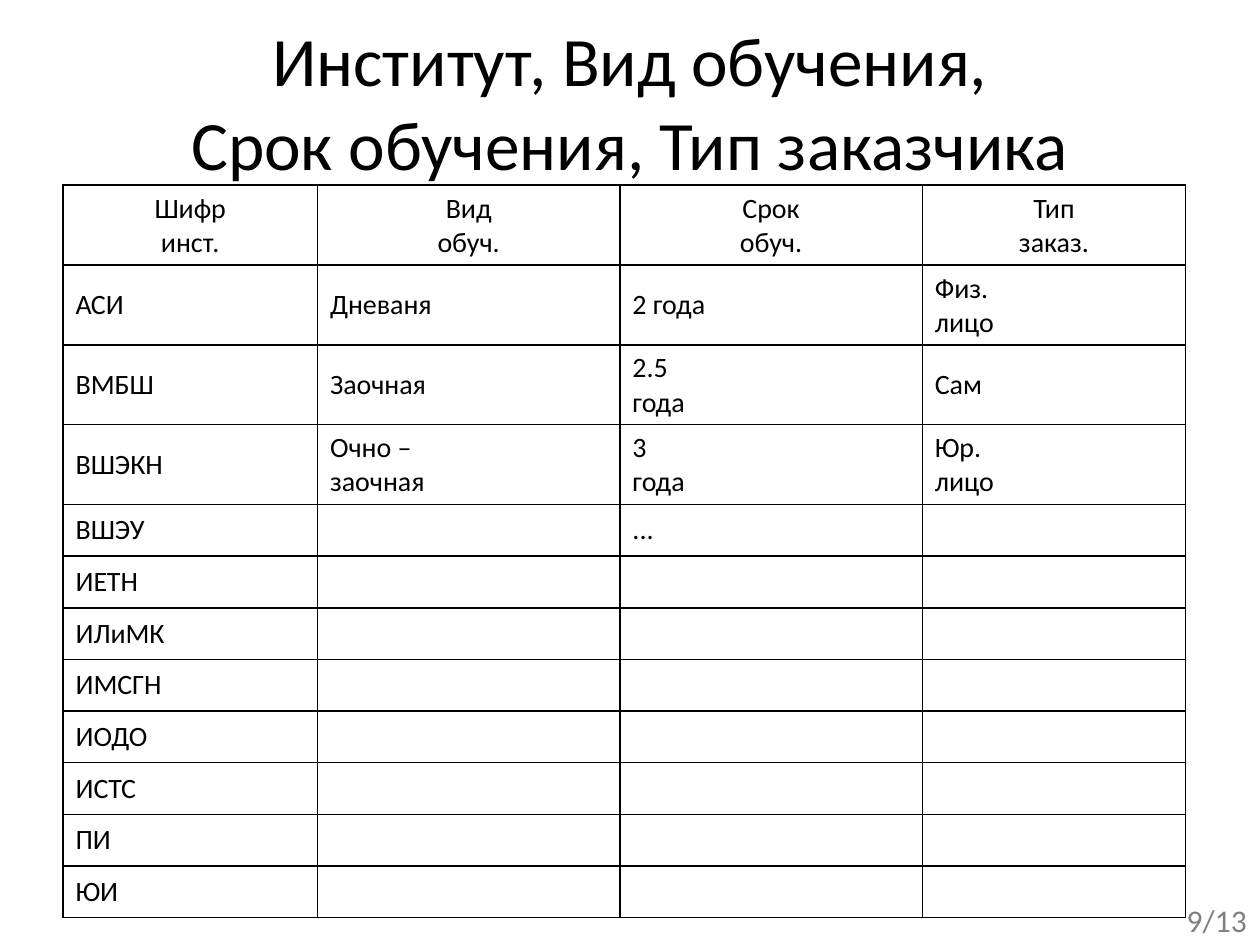
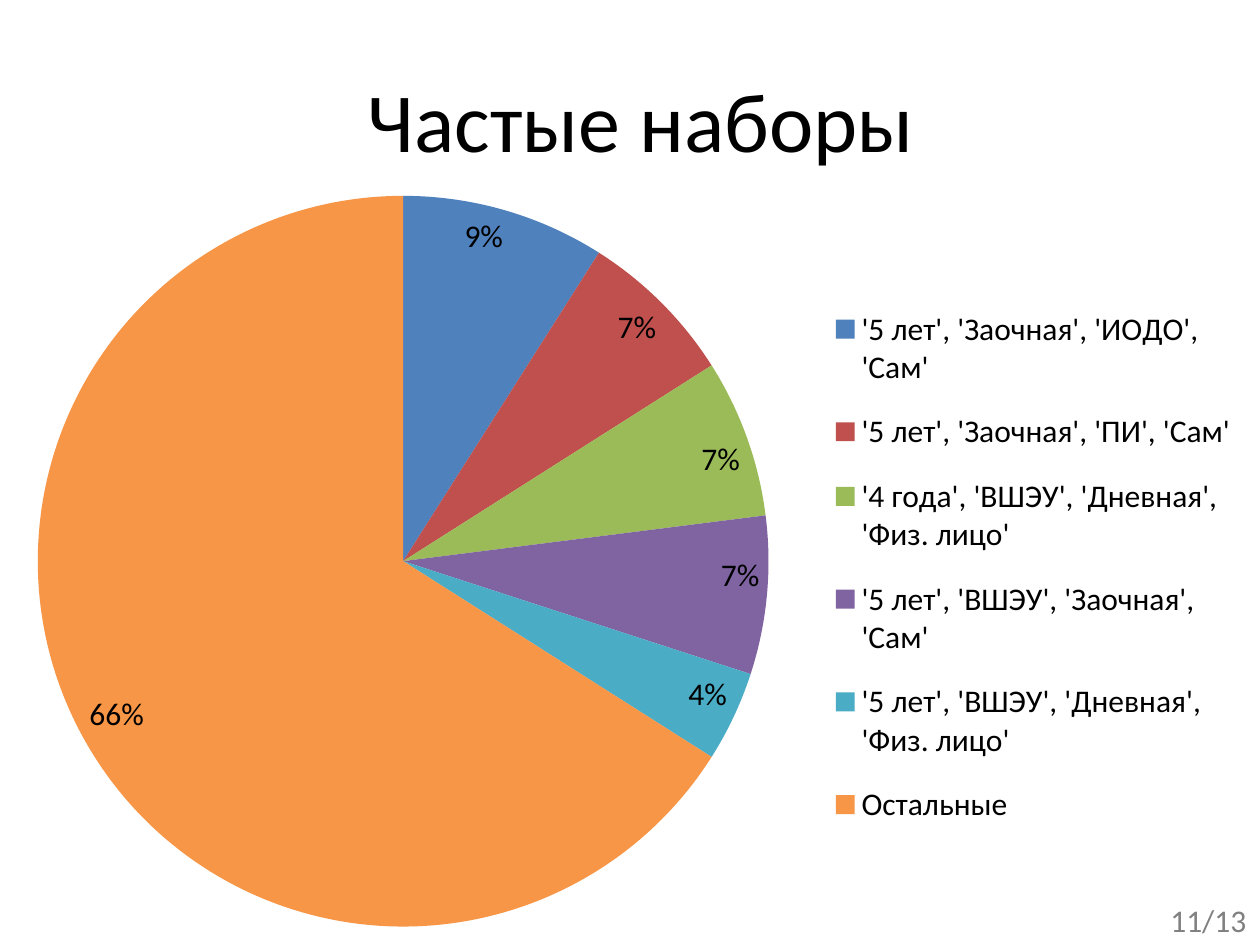
from dataclasses import dataclass
from typing import Any, NamedTuple

from lxml.etree import SubElement
from pptx import Presentation
from pptx.chart.data import CategoryChartData
from pptx.dml.color import RGBColor
from pptx.enum.chart import XL_CHART_TYPE as ChartType
from pptx.enum.chart import XL_LABEL_POSITION as LabelPosition
from pptx.enum.chart import XL_LEGEND_POSITION as LegendPosition
from pptx.enum.text import MSO_ANCHOR as Anchor
from pptx.enum.text import PP_ALIGN as Align
from pptx.oxml import parse_xml
from pptx.oxml.ns import nsdecls, qn
from pptx.util import Inches, Pt


@dataclass(frozen=True)
class Theme:
    font: str = "Calibri"
    ink: str = "000000"
    muted: str = "808080"
    paper: str = "FFFFFF"
    slices: tuple[str, ...] = (
        "4F81BD", "C0504D", "9BBB59", "8064A2", "4BACC6", "F79646")
    title_size: float = 39.6
    chart_title_size: float = 48
    body_size: float = 18
    table_size: float = 16


class Box(NamedTuple):
    left: float
    top: float
    width: float
    height: float

    def lengths(self) -> list[int]:
        return [Inches(value) for value in self]


class ChartArea(NamedTuple):
    """Place inside the chart, as fractions of its size."""
    x: float
    y: float
    w: float | None = None
    h: float | None = None


class Slice(NamedTuple):
    label: str
    percent: int


THEME = Theme()
TOTAL_SLIDES = 13

HEADERS = ["Шифр\nинст.", "Вид\nобуч.", "Срок\nобуч.", "Тип\nзаказ."]
COLUMN_WIDTHS = [2.02, 2.4, 2.4, 2.09]
ROW_HEIGHT = 0.41
ROWS = [
    ["АСИ", "Дневаня", "2 года", "Физ.\nлицо"],
    ["ВМБШ", "Заочная", "2.5\nгода", "Сам"],
    ["ВШЭКН", "Очно –\nзаочная", "3\nгода", "Юр.\nлицо"],
    ["ВШЭУ", "", "...", ""],
    *([code, "", "", ""] for code in
      ("ИЕТН", "ИЛиМК", "ИМСГН", "ИОДО", "ИСТС", "ПИ", "ЮИ")),
]

FREQUENT_SETS = [
    Slice("'5 лет', 'Заочная', 'ИОДО', 'Сам'", 9),
    Slice("'5 лет', 'Заочная', 'ПИ', 'Сам'", 7),
    Slice("'4 года', 'ВШЭУ', 'Дневная', 'Физ. лицо'", 7),
    Slice("'5 лет', 'ВШЭУ', 'Заочная', 'Сам'", 7),
    Slice("'5 лет', 'ВШЭУ', 'Дневная', 'Физ. лицо'", 4),
    Slice("Остальные", 66),
]


# Shared helpers
def apply(target: Any, values: dict[str, Any]) -> None:
    for name, value in values.items():
        setattr(target, name, value)


def style_font(font: Any, size: float, color: str = THEME.ink) -> None:
    apply(font, {"name": THEME.font, "size": Pt(size), "bold": False})
    font.color.rgb = RGBColor.from_string(color)


def write_text(frame: Any, text: str, size: float, align: Align,
               color: str = THEME.ink) -> None:
    frame.text = text
    for paragraph in frame.paragraphs:
        paragraph.alignment = align
        style_font(paragraph.font, size, color)
        for run in paragraph.runs:
            style_font(run.font, size, color)


def add_text(slide: Any, box: Box, text: str, size: float, align: Align,
             color: str = THEME.ink, **frame_format: Any) -> None:
    frame = slide.shapes.add_textbox(*box.lengths()).text_frame
    apply(frame, {"word_wrap": True, **frame_format})
    write_text(frame, text, size, align, color)


def add_page_number(slide: Any, number: int, width: float) -> None:
    add_text(slide, Box(10 - width, 7.1, width, 0.4), f"{number}/{TOTAL_SLIDES}",
             THEME.body_size, Align.LEFT, THEME.muted, word_wrap=False)


# Table
def add_borders(cell: Any, color: str = THEME.ink, width: float = 1) -> None:
    properties = cell._tc.get_or_add_tcPr()
    for position, edge in enumerate(("lnL", "lnR", "lnT", "lnB")):
        properties.insert(position, parse_xml(
            f'<a:{edge} {nsdecls("a")} w="{Pt(width)}"><a:solidFill>'
            f'<a:srgbClr val="{color}"/></a:solidFill></a:{edge}>'))


def add_institute_table(slide: Any) -> None:
    lines = [HEADERS, *ROWS]
    box = Box(0.5, 1.47, sum(COLUMN_WIDTHS), ROW_HEIGHT * len(lines))
    table = slide.shapes.add_table(
        len(lines), len(HEADERS), *box.lengths()).table
    apply(table, {"first_row": False, "horz_banding": False})
    for column, width in zip(table.columns, COLUMN_WIDTHS):
        column.width = Inches(width)
    for row_index, line in enumerate(lines):
        table.rows[row_index].height = Inches(ROW_HEIGHT)
        align = Align.LEFT if row_index else Align.CENTER
        for column_index, text in enumerate(line):
            cell = table.cell(row_index, column_index)
            cell.vertical_anchor = Anchor.MIDDLE if row_index else Anchor.TOP
            cell.fill.solid()
            cell.fill.fore_color.rgb = RGBColor.from_string(THEME.paper)
            write_text(cell.text_frame, text, THEME.table_size, align)
            add_borders(cell)


# Chart
def place_in_chart(element: Any, position: int, area: ChartArea,
                   inner: bool = False) -> None:
    for old_layout in element.findall(qn("c:layout")):
        element.remove(old_layout)
    layout = parse_xml(f'<c:layout {nsdecls("c")}><c:manualLayout/></c:layout>')
    settings = {"layoutTarget": "inner" if inner else None,
                "xMode": "edge", "yMode": "edge", **area._asdict()}
    for name, value in settings.items():
        if value is not None:
            SubElement(layout[0], qn(f"c:{name}")).set("val", str(value))
    element.insert(position, layout)


def add_frequent_sets_chart(slide: Any) -> None:
    title = "Частые наборы"
    data = CategoryChartData()
    data.categories = [part.label for part in FREQUENT_SETS]
    data.add_series(title, [part.percent for part in FREQUENT_SETS])
    chart = slide.shapes.add_chart(
        ChartType.PIE, *Box(0, 0, 10, 7.5).lengths(), data).chart
    style_font(chart.font, THEME.body_size)

    # Title and legend
    apply(chart, {"has_title": True, "has_legend": True})
    write_text(chart.chart_title.text_frame, title, THEME.chart_title_size,
               Align.CENTER)
    apply(chart.legend, {"position": LegendPosition.RIGHT,
                         "include_in_layout": False})
    style_font(chart.legend.font, THEME.body_size)

    # Slices and labels
    plot = chart.plots[0]
    apply(plot, {"vary_by_categories": True, "has_data_labels": True})
    apply(plot.data_labels, {
        "show_percentage": True, "show_value": False, "number_format": "0%",
        "number_format_is_linked": False, "position": LabelPosition.INSIDE_END})
    style_font(plot.data_labels.font, THEME.body_size)
    for index, color in enumerate(THEME.slices):
        slice_format = plot.series[0].points[index].format
        slice_format.fill.solid()
        slice_format.fill.fore_color.rgb = RGBColor.from_string(color)
        slice_format.line.fill.background()

    # Places inside the chart
    plot_area = chart._chartSpace.chart.plotArea
    place_in_chart(plot_area, 0, ChartArea(0.03, 0.207, 0.58, 0.774), inner=True)
    place_in_chart(chart.chart_title._element, 1, ChartArea(0.28, 0.05))
    place_in_chart(chart.legend._element, 1, ChartArea(0.65, 0.3, 0.34, 0.6))


def main() -> None:
    presentation = Presentation()
    apply(presentation, {"slide_width": Inches(10), "slide_height": Inches(7.5)})
    blank = presentation.slide_layouts[6]

    # Institutes table
    slide = presentation.slides.add_slide(blank)
    add_text(slide, Box(0.5, 0.15, 9, 1.3),
             "Институт, Вид обучения,\nСрок обучения, Тип заказчика",
             THEME.title_size, Align.CENTER, vertical_anchor=Anchor.MIDDLE)
    add_institute_table(slide)
    add_page_number(slide, 9, 0.68)

    # Frequent sets chart
    slide = presentation.slides.add_slide(blank)
    add_frequent_sets_chart(slide)
    add_page_number(slide, 11, 0.81)

    presentation.save("out.pptx")


if __name__ == "__main__":
    main()
